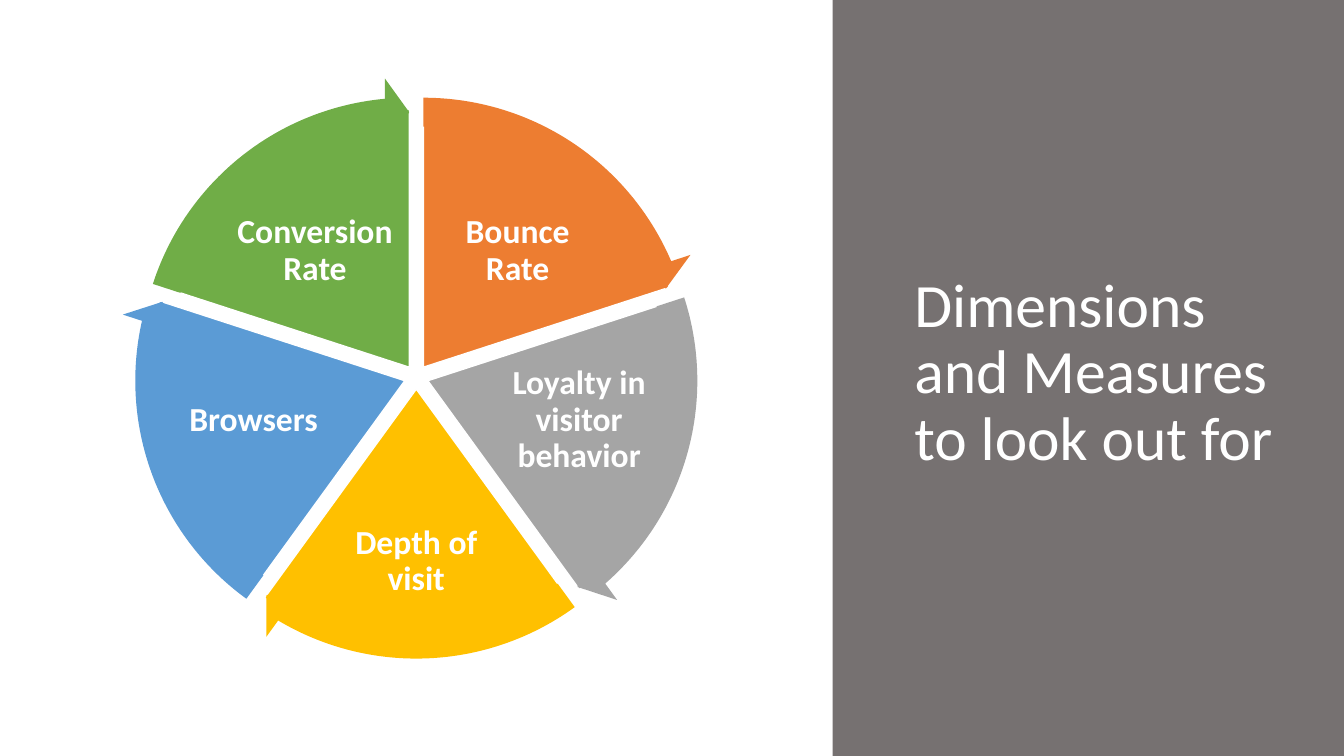
"""Build a slide with a five-part cycle wheel beside a title panel."""
from dataclasses import dataclass
from math import cos, radians, sin

from pptx import Presentation
from pptx.dml.color import RGBColor
from pptx.enum.shapes import MSO_SHAPE
from pptx.enum.text import MSO_ANCHOR, MSO_AUTO_SIZE, PP_ALIGN
from pptx.shapes.autoshape import Shape
from pptx.shapes.shapetree import GroupShapes
from pptx.slide import Slide
from pptx.text.text import TextFrame
from pptx.util import Inches, Pt

RECTANGLE, PIE, ARROW = MSO_SHAPE.RECTANGLE, MSO_SHAPE.PIE, MSO_SHAPE.CIRCULAR_ARROW
MIDDLE, NO_FIT = MSO_ANCHOR.MIDDLE, MSO_AUTO_SIZE.NONE
LEFT, CENTER = PP_ALIGN.LEFT, PP_ALIGN.CENTER

SLIDE_WIDTH, SLIDE_HEIGHT = Inches(13.333), Inches(7.5)
ROWS = 75
CELL = SLIDE_HEIGHT // ROWS
COLUMNS = SLIDE_WIDTH / CELL
DEGREES_PER_ADJUSTMENT = 5 / 3
FULL_TURN = 360


@dataclass(frozen=True)
class Theme:
    """Colours, font and type sizes of the slide."""
    font: str = "Calibri"
    title_size: int = 44
    label_size: int = 24
    line_spacing: float = 0.9
    white: str = "FFFFFF"
    panel: str = "767171"


@dataclass(frozen=True)
class Box:
    """A rectangle in grid columns and rows."""
    left: float
    top: float
    width: float
    height: float

    def lengths(self) -> tuple[int, ...]:
        """Return the rectangle as slide lengths."""
        return tuple(round(cells * CELL)
                     for cells in (self.left, self.top, self.width, self.height))


def centred(x: float, y: float, width: float, height: float) -> Box:
    """Return a box around a centre point."""
    return Box(x - width / 2, y - height / 2, width, height)


@dataclass(frozen=True)
class Sector:
    """A wheel sector, with its label centre measured from the hub."""
    text: str
    colour: str
    label_x: float
    label_y: float
    label_width: float
    label_height: float


@dataclass(frozen=True)
class Wheel:
    """Hub position and sizes of the wheel in grid cells, angles in degrees."""
    x: float = 41.3
    y: float = 37.4
    pie: float = 51.2
    ring: float = 57.5
    gap: float = 1.2
    first_angle: float = 270
    arrow_sweep: float = 66.54
    arrow_band: float = 0.05
    arrow_head: float = 0.06
    head_angle: float = 5.46
    inset: float = 0.3


THEME = Theme()
WHEEL = Wheel()
PANEL = Box(82.6, 0, COLUMNS - 82.6, ROWS)
TITLE = Box(89.7, 7, 40.1, 60.2)
SECTORS = (
    Sector("Bounce Rate", "ED7D31", 10.05, -12.5, 16.5, 11),
    Sector("Loyalty in visitor behavior", "A5A5A5", 16.15, 4.3, 15.2, 12.2),
    Sector("Depth of visit", "FFC000", 0, 18.3, 14.6, 13.4),
    Sector("Browsers", "5B9BD5", -16.15, 4.3, 15.2, 12.2),
    Sector("Conversion Rate", "70AD47", -10.05, -12.5, 16.5, 11),
)
STEP = FULL_TURN / len(SECTORS)


def adjustment(degrees: float) -> float:
    """Convert degrees to the unit of a shape adjustment."""
    return degrees % FULL_TURN / DEGREES_PER_ADJUSTMENT


def write(frame: TextFrame, text: str, size: int, bold: bool, align: PP_ALIGN) -> None:
    """Write one wrapped, vertically centred paragraph."""
    frame.word_wrap = True
    frame.auto_size = NO_FIT
    frame.vertical_anchor = MIDDLE
    para = frame.paragraphs[0]
    para.alignment = align
    para.line_spacing = THEME.line_spacing
    span = para.add_run()
    span.text = text
    span.font.name = THEME.font
    span.font.size = Pt(size)
    span.font.bold = bold
    span.font.color.rgb = RGBColor.from_string(THEME.white)


def add_filled(shapes: GroupShapes, kind: MSO_SHAPE, box: Box, colour: str,
               adjustments: tuple[float, ...] = ()) -> Shape:
    """Add a flat shape without outline."""
    shape = shapes.add_shape(kind, *box.lengths())
    shape.shadow.inherit = False
    shape.fill.solid()
    shape.fill.fore_color.rgb = RGBColor.from_string(colour)
    shape.line.fill.background()
    for index, value in enumerate(adjustments):
        shape.adjustments[index] = value
    return shape


def sector_box(index: int, size: float) -> Box:
    """Return a square for a sector, pushed outward from the hub."""
    middle = radians(WHEEL.first_angle + (index + 0.5) * STEP)
    return centred(WHEEL.x + WHEEL.gap * cos(middle),
                   WHEEL.y + WHEEL.gap * sin(middle), size, size)


def add_sector(shapes: GroupShapes, index: int, sector: Sector) -> None:
    """Add a pie sector and its label."""
    start = WHEEL.first_angle + index * STEP
    pie = add_filled(shapes, PIE, sector_box(index, WHEEL.pie), sector.colour,
                     (adjustment(start), adjustment(start + STEP)))
    pie.line.color.rgb = RGBColor.from_string(THEME.white)
    pie.line.width = Pt(1)
    box = centred(WHEEL.x + sector.label_x, WHEEL.y + sector.label_y,
                  sector.label_width, sector.label_height)
    frame = shapes.add_textbox(*box.lengths()).text_frame
    inset = round(WHEEL.inset * CELL)
    frame.margin_left = frame.margin_right = inset
    frame.margin_top = frame.margin_bottom = inset
    write(frame, sector.text, THEME.label_size, True, CENTER)


def add_arrow(shapes: GroupShapes, index: int, sector: Sector) -> None:
    """Add the curved arrow along the rim of a sector."""
    start = WHEEL.first_angle + index * STEP
    add_filled(shapes, ARROW, sector_box(index, WHEEL.ring), sector.colour,
               (WHEEL.arrow_band, adjustment(WHEEL.head_angle),
                adjustment(start + WHEEL.arrow_sweep), adjustment(start),
                WHEEL.arrow_head))


def add_title(page: Slide) -> None:
    """Add the side panel and place the title on it."""
    panel = add_filled(page.shapes, RECTANGLE, PANEL, THEME.panel)
    title = page.shapes.title
    panel.element.addnext(title.element)
    title.left, title.top, title.width, title.height = TITLE.lengths()
    write(title.text_frame, "Dimensions and Measures to look out for",
          THEME.title_size, False, LEFT)


def main() -> None:
    """Build and save the deck."""
    deck = Presentation()
    deck.slide_width, deck.slide_height = SLIDE_WIDTH, SLIDE_HEIGHT
    page = deck.slides.add_slide(deck.slide_layouts.get_by_name("Title Only"))
    add_title(page)
    wheel = page.shapes.add_group_shape().shapes
    for draw in (add_sector, add_arrow):
        for index, sector in enumerate(SECTORS):
            draw(wheel, index, sector)
    deck.save("out.pptx")


if __name__ == "__main__":
    main()
